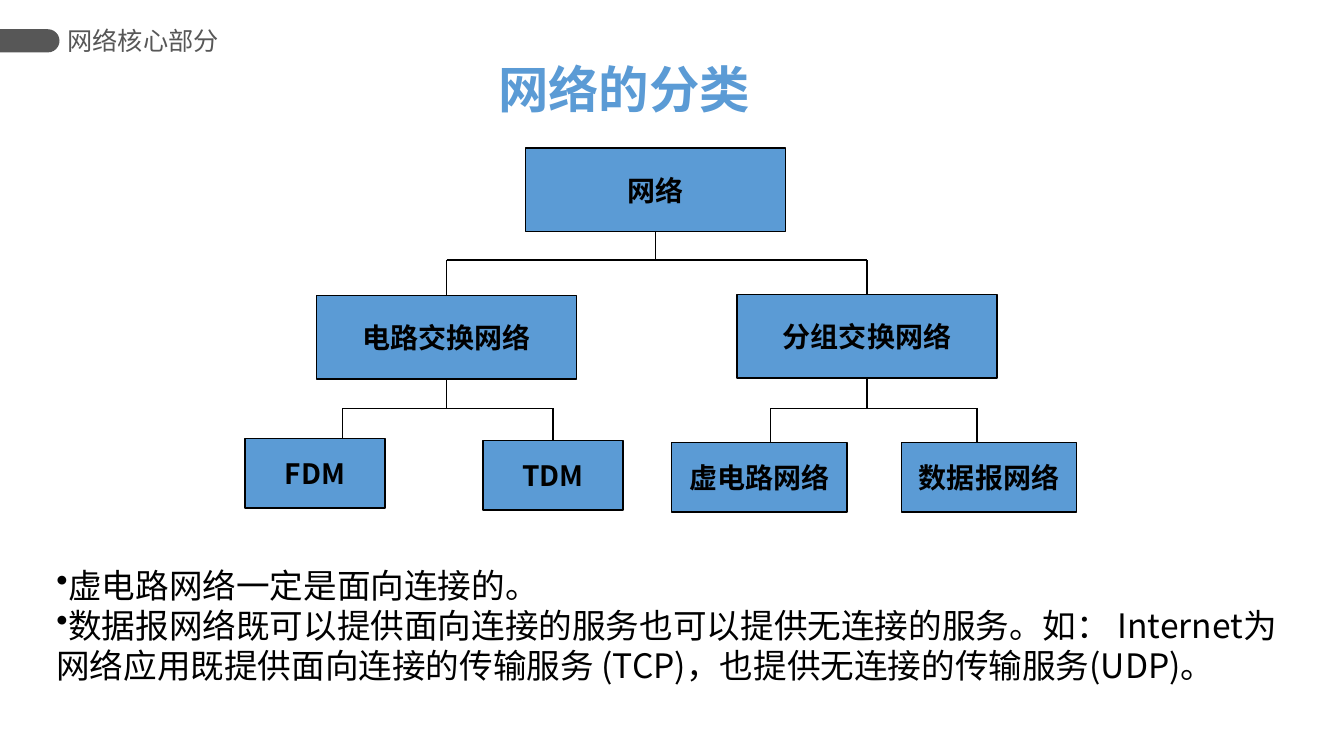
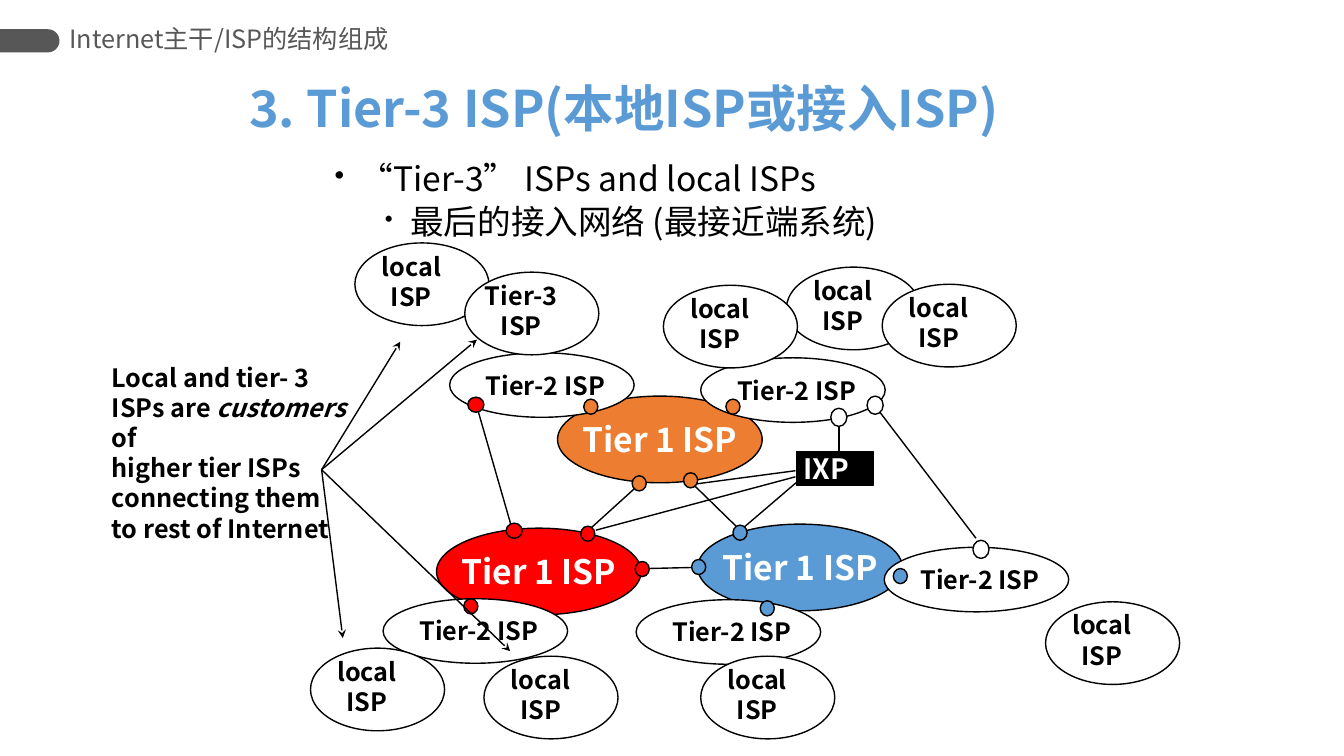
from lxml.etree import SubElement
from pptx import Presentation
from pptx.dml.color import RGBColor
from pptx.enum.shapes import MSO_CONNECTOR, MSO_SHAPE
from pptx.enum.text import MSO_ANCHOR, MSO_AUTO_SIZE, PP_ALIGN
from pptx.oxml.ns import qn
from pptx.util import Inches, Pt

COLORS = {
    "black": "000000", "white": "FFFFFF", "gray": "575757",
    "blue": "5B9BD5", "orange": "ED7D31", "red": "FF0000",
}
RGB = {name: RGBColor.from_string(value) for name, value in COLORS.items()}
FONT = "Noto Sans CJK SC"


def add_box(page, kind, place, lines=(), fill=None, size=18, color="black", bold=True,
            align=PP_ALIGN.CENTER, anchor=MSO_ANCHOR.MIDDLE, wrap=False):
    """Add a filled shape, or a text box when kind is None; *stars* mark italics."""
    place = [Inches(value) for value in place]
    if kind is None:
        box = page.shapes.add_textbox(*place)
    else:
        box = page.shapes.add_shape(kind, *place)
        box.shadow.inherit = False
        box.fill.solid()
        box.fill.fore_color.rgb = RGB[fill]
        box.line.color.rgb = RGB["black"]
        box.line.width = Pt(1)
    frame = box.text_frame
    frame.word_wrap = wrap
    frame.vertical_anchor = anchor
    for number, line in enumerate(lines):
        para = frame.add_paragraph() if number else frame.paragraphs[0]
        para.alignment = align
        for index, part in enumerate(line.split("*")):
            span = para.add_run()
            span.text = part
            span.font.size = Pt(size)
            span.font.bold = bold
            span.font.color.rgb = RGB[color]
            if index % 2:
                span.font.italic = True
    return box


def add_line(page, start, end, arrow=False):
    line = page.shapes.add_connector(
        MSO_CONNECTOR.STRAIGHT, *[Inches(value) for value in (*start, *end)])
    line.line.color.rgb = RGB["black"]
    line.line.width = Pt(1)
    if arrow:
        SubElement(line.line._get_or_add_ln(), qn("a:tailEnd"), type="stealth")
    SubElement(line._element.spPr, qn("a:effectLst"))
    return line


deck = Presentation()
deck.slide_width = Inches(13.33)
deck.slide_height = Inches(7.5)
layout = deck.slide_layouts[5]

# Title and section caption of each slide
headings = [
    ("网络的分类", (4.84, 0.59, 3.01, 0.65), "网络核心部分", (0.67, 0.19, 2.33, 0.42)),
    ("3. Tier-3 ISP(本地ISP或接入ISP)", (2.37, 0.67, 8.85, 0.86),
     "Internet主干/ISP的结构组成", (0.69, 0.24, 3.58, 0.29)),
]
for title_text, title_place, caption_text, caption_place in headings:
    page = deck.slides.add_slide(layout)
    title = page.shapes.title
    title.left, title.top, title.width, title.height = [Inches(v) for v in title_place]
    title.text_frame.text = title_text
    title.text_frame.auto_size = MSO_AUTO_SIZE.NONE
    title.text_frame.vertical_anchor = MSO_ANCHOR.MIDDLE
    para = title.text_frame.paragraphs[0]
    para.alignment = PP_ALIGN.LEFT
    para.line_spacing = 0.9
    font = para.runs[0].font
    font.size, font.bold, font.color.rgb = Pt(36), True, RGB["blue"]
    caption = add_box(page, None, caption_place, [caption_text], color="gray",
                      bold=False, align=PP_ALIGN.LEFT, wrap=True)
    caption.text_frame.margin_left = caption.text_frame.margin_right = 0
network_page, isp_page = deck.slides

# Rounded band at the left edge, kept on the shared layout
band = network_page.shapes.add_shape(
    MSO_SHAPE.ROUND_2_SAME_RECTANGLE, Inches(0.18), Inches(0.11), Inches(0.23), Inches(0.59))
band.adjustments[0] = 0.5
band.rotation = 90
band.shadow.inherit = False
band.fill.solid()
band.fill.fore_color.rgb = RGB["gray"]
band.line.fill.background()
layout.shapes.element.append(band.element)

# Slide 1: tree of network types
nodes = {
    "网络": (5.21, 1.47, 2.58, 0.83),
    "电路交换网络": (3.14, 2.93, 2.58, 0.83),
    "分组交换网络": (7.31, 2.92, 2.58, 0.83),
    "FDM": (2.43, 4.35, 1.39, 0.69),
    "TDM": (4.79, 4.37, 1.39, 0.69),
    "虚电路网络": (6.66, 4.39, 1.74, 0.69),
    "数据报网络": (8.94, 4.39, 1.74, 0.69),
}
boxes = {name: add_box(network_page, MSO_SHAPE.RECTANGLE, place, [name], "blue", 20)
         for name, place in nodes.items()}

# Parent, height of the crossbar, children with the drop's offset from their middle
branches = [
    ("网络", 2.58, [("电路交换网络", 0), ("分组交换网络", 0)]),
    ("电路交换网络", 4.05, [("FDM", 0.27), ("TDM", 0)]),
    ("分组交换网络", 4.05, [("虚电路网络", 0.11), ("数据报网络", -0.12)]),
]
for parent, bar_y, children in branches:
    left, top, width, height = nodes[parent]
    middle = left + width / 2
    stem = add_line(network_page, (middle, top + height), (middle, bar_y))
    stem.begin_connect(boxes[parent], 2)
    drops = []
    for child, offset in children:
        left, top, width, height = nodes[child]
        drop_x = left + width / 2 + offset
        drops.append(drop_x)
        drop = add_line(network_page, (drop_x, bar_y), (drop_x, top))
        if not offset:
            drop.end_connect(boxes[child], 0)
    add_line(network_page, (drops[0], bar_y), (drops[1], bar_y))

notes = add_box(network_page, None, (0.46, 5.55, 12.51, 1.31), [
    "虚电路网络一定是面向连接的。",
    "数据报网络既可以提供面向连接的服务也可以提供无连接的服务。如： Internet为网络应用既提供"
    "面向连接的传输服务 (TCP)，也提供无连接的传输服务(UDP)。",
], size=24, bold=False, align=PP_ALIGN.LEFT, anchor=MSO_ANCHOR.TOP, wrap=True)

# Slide 2: bullet points
points = add_box(isp_page, None, (3.22, 1.56, 9.23, 1), [
    "“Tier-3” ISPs and local ISPs",
    "最后的接入网络 (最接近端系统)",
], size=24, bold=False, align=PP_ALIGN.LEFT, anchor=MSO_ANCHOR.TOP, wrap=True)
for para in points.text_frame.paragraphs:
    para.line_spacing = 0.9
points.text_frame.paragraphs[1].level = 1
points.text_frame.paragraphs[1].space_before = Pt(5)

# Provider ellipses of tiers 1 and 2
for left, top, fill in [(4.33, 5.24, "red"), (5.53, 3.93, "orange"), (6.92, 5.2, "blue")]:
    add_box(isp_page, MSO_SHAPE.OVAL, (left, top, 2.03, 0.86), ["Tier 1 ISP"],
            fill, 24, "white")
for left, top in [(6.95, 3.55), (4.46, 3.5), (3.8, 5.94), (6.31, 5.95), (8.77, 5.43)]:
    add_box(isp_page, MSO_SHAPE.OVAL, (left, top, 1.83, 0.64), fill="white")
    add_box(isp_page, None, (left + 0.24, top + 0.12, 1.42, 0.4), ["Tier-2 ISP"],
            anchor=MSO_ANCHOR.TOP)

# Links between providers and the exchange point
links = [
    ((6.44, 5.64), (6.86, 5.63)), ((6.89, 4.82), (7.3, 5.22)),
    ((5.86, 5.24), (6.29, 4.85)), ((7.93, 4.76), (7.38, 5.23)),
    ((7.89, 4.67), (6.91, 4.8)), ((7.89, 4.73), (5.91, 5.26)),
    ((4.74, 4.07), (5.08, 5.25)), ((8.72, 4.08), (9.68, 5.34)),
]
for start, end in links:
    add_line(isp_page, start, end)
exchange = add_box(isp_page, MSO_SHAPE.RECTANGLE, (7.9, 4.48, 0.76, 0.34), ["IXP"],
                   "black", 20, "white", align=PP_ALIGN.LEFT)
exchange.text_frame.margin_left = Inches(0.07)
uplink = add_line(isp_page, (8.32, 4.22), (8.32, 4.48))

# Connection points, by size
dots = {
    (0.14, 0.15): [
        (7.27, 5.21, "blue"), (6.78, 4.69, "orange"), (6.27, 4.72, "orange"),
        (5.76, 5.22, "red"), (6.3, 5.57, "red"), (6.86, 5.55, "blue"),
        (7.2, 3.96, "orange"), (5.79, 3.96, "orange"), (4.6, 5.94, "red"),
        (7.54, 5.96, "blue"), (8.86, 5.64, "blue"),
    ],
    (0.16, 0.15): [(4.64, 3.94, "red"), (5.02, 5.19, "red")],
    (0.16, 0.18): [(8.6, 3.93, "white"), (9.65, 5.36, "white"), (8.24, 4.05, "white")],
}
for dot_size, spots in dots.items():
    for left, top, fill in spots:
        add_box(isp_page, MSO_SHAPE.OVAL, (left, top, *dot_size), fill=fill)

# Local and tier-3 providers
local_isps = [
    (7.8, 2.65, "local"), (6.58, 2.83, "local"), (8.75, 2.82, "local"),
    (3.08, 6.43, "local"), (3.52, 2.41, "local"), (4.61, 2.7, "Tier-3"),
    (4.8, 6.51, "local"), (6.95, 6.51, "local"), (10.37, 5.97, "local"),
]
for left, top, name in local_isps:
    add_box(isp_page, MSO_SHAPE.OVAL, (left, top, 1.33, 0.82), fill="white")
    add_box(isp_page, None, (left + 0.09, top + 0.03, 0.94, 0.71), [name, "ISP"],
            anchor=MSO_ANCHOR.TOP)

# Remark with arrows to the customers
add_box(isp_page, None, (1.01, 3.54, 2.58, 1.92), [
    "Local and tier- 3 ISPs are *customers* of",
    "higher tier ISPs",
    "connecting them to rest of Internet",
], align=PP_ALIGN.LEFT, anchor=MSO_ANCHOR.TOP, wrap=True)
for tip in [(3.97, 3.39), (4.73, 3.37), (3.4, 6.33), (5.06, 6.46)]:
    add_line(isp_page, (3.19, 4.66), tip, arrow=True)

# Bullets: left margin, hanging indent and size in percent
bullets = [(para, 0, 0, 100) for para in notes.text_frame.paragraphs]
bullets += [(para, margin, -0.25, percent) for para, margin, percent
            in zip(points.text_frame.paragraphs, (0.25, 0.75), (85, 70))]
for para, margin, indent, percent in bullets:
    properties = para._p.get_or_add_pPr()
    properties.set("marL", str(Inches(margin)))
    properties.set("indent", str(Inches(indent)))
    SubElement(properties, qn("a:buSzPct"), val=str(percent * 1000))
    SubElement(properties, qn("a:buChar"), char="•")

# One typeface for Latin and Chinese text
for page in deck.slides:
    for shape in page.shapes:
        if shape.has_text_frame:
            for para in shape.text_frame.paragraphs:
                for span in para.runs:
                    span.font.name = FONT
                    SubElement(span._r.get_or_add_rPr(), qn("a:ea"), typeface=FONT)

deck.save("out.pptx")
